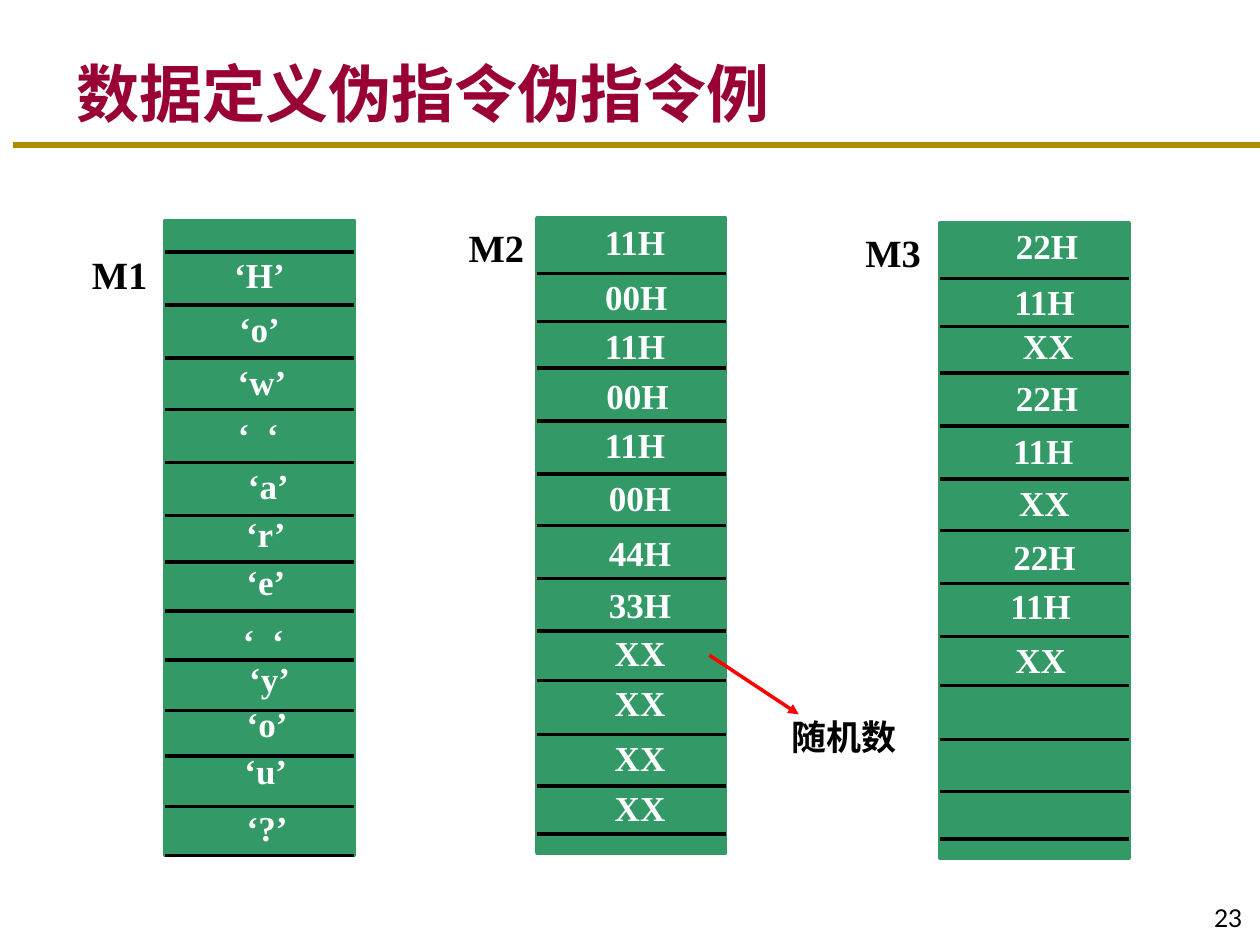
import pptx
import pptx.util
import pptx.dml.color
import pptx.enum.shapes
import pptx.enum.text
from pptx.oxml.ns import qn
from lxml import etree

SERIF = "Times New Roman"
CJK = "Noto Sans CJK SC"
ALIGN = pptx.enum.text.PP_ALIGN
ANCHOR = pptx.enum.text.MSO_ANCHOR
COL_W, COL_H, LABEL_H = 1.5, 5.04, 0.44

M1_RULES = [0.25, 0.67, 1.09, 1.5, 1.92, 2.34, 2.71, 3.1, 3.49, 3.89, 4.25, 4.65, 5.04]
WORD_RULES = [0.44, 0.82, 1.19, 1.61, 2.03, 2.44, 2.86, 3.28, 3.67, 4.1, 4.51, 4.89]

M1_CELLS = [
    ("‘H’", 2.06, 1.96), ("‘o’", 2.06, 2.39), ("‘w’", 2.08, 2.81), ("‘  ‘", 2.05, 3.23),
    ("‘a’", 2.13, 3.64), ("‘r’", 2.11, 4.02), ("‘e’", 2.11, 4.4), ("‘  ‘", 2.09, 4.87),
    ("‘y’", 2.14, 5.17), ("‘o’", 2.12, 5.53), ("‘u’", 2.11, 5.9), ("‘?’", 2.12, 6.35),
]
M2_CELLS = [
    ("11H", 5.04, 1.7), ("00H", 5.05, 2.14), ("11H", 5.04, 2.53), ("00H", 5.06, 2.92),
    ("11H", 5.04, 3.31), ("00H", 5.08, 3.73), ("44H", 5.08, 4.17), ("33H", 5.08, 4.58),
    ("XX", 5.08, 4.96), ("XX", 5.08, 5.36), ("XX", 5.08, 5.8), ("XX", 5.08, 6.19),
]
M3_CELLS = [
    ("22H", 8.31, 1.73), ("11H", 8.29, 2.18), ("XX", 8.32, 2.53),
    ("22H", 8.31, 2.94), ("11H", 8.28, 3.36), ("XX", 8.29, 3.77),
    ("22H", 8.29, 4.2), ("11H", 8.26, 4.59), ("XX", 8.26, 5.02),
]
COLUMNS = [
    ("M1", 0.63, 1.94, 1.31, 1.75, M1_RULES, M1_CELLS),
    ("M2", 3.62, 1.73, 4.26, 1.73, WORD_RULES, M2_CELLS),
    ("M3", 6.77, 1.77, 7.46, 1.77, WORD_RULES, M3_CELLS),
]


def rgb(value):
    return pptx.dml.color.RGBColor.from_string(value)


def place(sp, *box):
    sp.left, sp.top, sp.width, sp.height = (pptx.util.Inches(v) for v in box)


def write(sp, text, size, font, color, bold=True, align=ALIGN.LEFT, anchor=ANCHOR.TOP):
    tf = sp.text_frame
    tf.word_wrap = True
    tf.auto_size = pptx.enum.text.MSO_AUTO_SIZE.NONE
    tf.vertical_anchor = anchor
    p = tf.paragraphs[0]
    p.text = text
    p.alignment = align
    p.font.size = pptx.util.Pt(size)
    p.font.bold = bold
    p.font.name = font
    p.font.color.rgb = rgb(color)
    latin = p.font._element.find(qn("a:latin"))
    ea = etree.Element(qn("a:ea"), typeface=font)
    latin.addnext(ea)


def add_text(s, box, *args, **kwargs):
    sp = s.shapes.add_textbox(*(pptx.util.Inches(v) for v in box))
    write(sp, *args, **kwargs)


def add_line(s, x1, y1, x2, y2, color="000000", width=2, arrow=False):
    ends = (pptx.util.Inches(v) for v in (x1, y1, x2, y2))
    sp = s.shapes.add_connector(pptx.enum.shapes.MSO_CONNECTOR.STRAIGHT, *ends)
    sp.line.color.rgb = rgb(color)
    sp.line.width = pptx.util.Pt(width)
    if arrow:
        ln = sp.line._get_or_add_ln()
        etree.SubElement(ln, qn("a:tailEnd"), type="triangle")
    etree.SubElement(sp._element.spPr, qn("a:effectLst"))


def add_memory(s, name, name_x, name_y, left, top, rules, cells):
    sp = s.shapes.add_shape(pptx.enum.shapes.MSO_SHAPE.RECTANGLE, 0, 0, 0, 0)
    place(sp, left, top, COL_W, COL_H)
    sp.shadow.inherit = False
    sp.fill.solid()
    sp.fill.fore_color.rgb = rgb("339966")
    sp.line.color.rgb = rgb("339966")
    sp.line.width = pptx.util.Pt(2)
    for offset in rules:
        add_line(s, left, top + offset, left + COL_W, top + offset)
    add_text(s, (name_x, name_y, 0.75, 0.47), name, 22, SERIF, "000000")
    for text, center, y in cells:
        add_text(s, (center - 0.5, y, 1, LABEL_H), text, 20, SERIF, "FFFFFF", align=ALIGN.CENTER)


def main():
    prs = pptx.Presentation()
    prs.slide_width = pptx.util.Inches(10)
    prs.slide_height = pptx.util.Inches(7.5)
    s = prs.slides.add_slide(prs.slide_layouts[5])
    place(s.shapes.title, 0.51, 0.29, 8.39, 0.79)
    write(s.shapes.title, "数据定义伪指令伪指令例", 36, CJK, "990033", anchor=ANCHOR.BOTTOM)
    add_line(s, 0.1, 1.15, 10, 1.15, "AD8C01", 3)
    for column in COLUMNS:
        add_memory(s, *column)
    add_text(s, (6.18, 5.63, 1.34, 0.43), "随机数", 20, CJK, "000000")
    add_line(s, 5.63, 5.2, 6.34, 5.67, "FF0000", arrow=True)
    add_text(s, (9.25, 6.95, 0.71, 0.5), "23", 14, "Lato", "000000",
             bold=False, align=ALIGN.RIGHT, anchor=ANCHOR.BOTTOM)
    prs.save("out.pptx")


if __name__ == "__main__":
    main()
